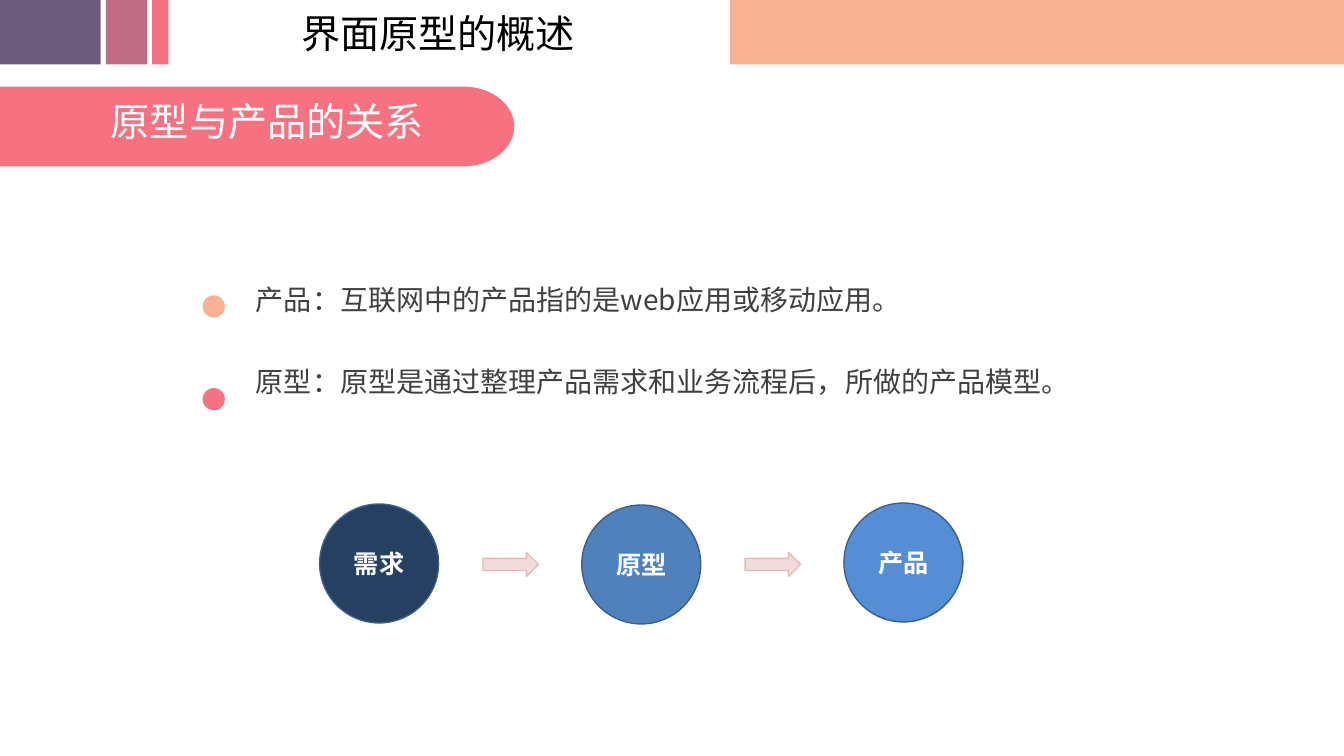
from dataclasses import dataclass
from math import cos, pi, sin

from lxml.etree import SubElement
from pptx import Presentation
from pptx.dml.color import RGBColor
from pptx.enum.shapes import MSO_SHAPE as Preset
from pptx.enum.text import MSO_ANCHOR as Anchor, MSO_AUTO_SIZE as AutoSize, PP_ALIGN as Align
from pptx.oxml.ns import qn
from pptx.shapes.autoshape import Shape
from pptx.slide import Slide
from pptx.text.text import TextFrame
from pptx.util import Emu, Pt

PX = 9144  # 100 px to the inch
CJK_FONT = "Noto Sans CJK SC"

PEACH = RGBColor(0xF8, 0xB1, 0x93)
PURPLE = RGBColor(0x6C, 0x5B, 0x7B)
MAUVE = RGBColor(0xC0, 0x6C, 0x84)
CORAL = RGBColor(0xF6, 0x72, 0x80)
NAVY = RGBColor(0x25, 0x40, 0x61)
STEEL = RGBColor(0x4F, 0x81, 0xBD)
SKY = RGBColor(0x55, 0x8E, 0xD5)
CIRCLE_EDGE = RGBColor(0x3A, 0x5F, 0x8C)
ARROW_FILL = RGBColor(0xF2, 0xDC, 0xDB)
ARROW_EDGE = RGBColor(0xE6, 0xB9, 0xB8)
BLACK = RGBColor(0, 0, 0)
WHITE = RGBColor(0xFF, 0xFF, 0xFF)
DARK_GREY = RGBColor(0x40, 0x40, 0x40)


@dataclass(frozen=True)
class Box:
    left: int
    top: int
    width: int
    height: int

    def emu(self) -> tuple[Emu, ...]:
        return tuple(Emu(side * PX) for side in (self.left, self.top, self.width, self.height))


@dataclass(frozen=True)
class Figure:
    preset: Preset
    box: Box
    fill: RGBColor
    edge: RGBColor | None = None
    label: str = ""


@dataclass(frozen=True)
class TextStyle:
    size: int
    color: RGBColor
    align: Align = Align.LEFT
    font: str = CJK_FONT
    bold: bool = False
    line_spacing: float = 1.0
    gap: int = 0


TITLE_STYLE = TextStyle(28, BLACK, Align.CENTER)
BANNER_STYLE = TextStyle(28, WHITE)
BODY_STYLE = TextStyle(20, DARK_GREY, line_spacing=0.9, gap=37)
STEP_STYLE = TextStyle(18, WHITE, Align.CENTER, "Calibri", True)

HEADER_BARS = [
    Figure(Preset.RECTANGLE, Box(left, 0, width, 64), color)
    for left, width, color in (
        (724, 609, PEACH), (0, 100, PURPLE), (105, 41, MAUVE), (151, 16, CORAL))
]
BULLETS = [
    Figure(Preset.OVAL, Box(201, top, 22, 22), color)
    for top, color in ((293, PEACH), (385, CORAL))
]
STEP_PITCH = 260
STEPS = [
    Figure(Preset.OVAL, Box(317 + i * STEP_PITCH, top, 118, 118), color, CIRCLE_EDGE, label)
    for i, (top, color, label) in enumerate(
        ((500, NAVY, "需求"), (501, STEEL, "原型"), (499, SKY, "产品")))
]
ARROWS = [
    Figure(Preset.RIGHT_ARROW, Box(479 + i * STEP_PITCH, 548, 55, 24), ARROW_FILL, ARROW_EDGE)
    for i in range(len(STEPS) - 1)
]
DEFINITIONS = [
    "产品：互联网中的产品指的是web应用或移动应用。",
    "原型：原型是通过整理产品需求和业务流程后，所做的产品模型。",
]


def write(frame: TextFrame, lines: list[str], style: TextStyle) -> None:
    for i, line in enumerate(lines):
        paragraph = frame.paragraphs[0] if i == 0 else frame.add_paragraph()
        layout = {"alignment": style.align, "line_spacing": style.line_spacing,
                  "space_before": Pt(style.gap if i else 0)}
        for name, value in layout.items():
            setattr(paragraph, name, value)
        run = paragraph.add_run()
        run.text = line
        look = {"size": Pt(style.size), "bold": style.bold, "name": style.font}
        for name, value in look.items():
            setattr(run.font, name, value)
        run.font.color.rgb = style.color
        SubElement(run._r.get_or_add_rPr(), qn("a:ea"), typeface=CJK_FONT)


def fill_text_area(area: Shape, box: Box, lines: list[str], style: TextStyle) -> None:
    """Place a title or text box and write its lines from the top edge."""
    for name, value in zip(("left", "top", "width", "height"), box.emu()):
        setattr(area, name, value)
    settings = {"word_wrap": True, "auto_size": AutoSize.NONE,
                "vertical_anchor": Anchor.TOP, "margin_top": 0}
    for name, value in settings.items():
        setattr(area.text_frame, name, value)
    write(area.text_frame, lines, style)


def paint(shape: Shape, fill: RGBColor, edge: RGBColor | None) -> None:
    shape.shadow.inherit = False
    shape.fill.solid()
    shape.fill.fore_color.rgb = fill
    if edge is None:
        shape.line.fill.background()
    else:
        shape.line.color.rgb = edge
        shape.line.width = Pt(1)


def draw_figure(slide: Slide, figure: Figure) -> None:
    shape = slide.shapes.add_shape(figure.preset, *figure.box.emu())
    paint(shape, figure.fill, figure.edge)
    if figure.label:
        shape.text_frame.vertical_anchor = Anchor.MIDDLE
        write(shape.text_frame, [figure.label], STEP_STYLE)


def draw_banner(slide: Slide, box: Box, cap: int) -> None:
    """Draw a bar whose right end is a half ellipse, cap px wide."""
    left, top, width, height = box.emu()
    center_x, radius_x = left + width - cap * PX, cap * PX
    center_y, radius_y = top + height / 2, height / 2
    segments = 48
    angles = [pi * i / segments - pi / 2 for i in range(segments + 1)]
    curve = [(center_x + radius_x * cos(a), center_y + radius_y * sin(a)) for a in angles]
    builder = slide.shapes.build_freeform(left, top)
    builder.add_line_segments([*curve, (left, top + height)], close=True)
    paint(builder.convert_to_shape(), CORAL, None)


def main() -> None:
    deck = Presentation()
    deck.slide_width, deck.slide_height = Emu(1333 * PX), Emu(750 * PX)
    slide = deck.slides.add_slide(deck.slide_layouts[5])

    for bar in HEADER_BARS:
        draw_figure(slide, bar)
    fill_text_area(slide.shapes.title, Box(244, 9, 381, 104), ["界面原型的概述"], TITLE_STYLE)

    draw_banner(slide, Box(0, 86, 510, 79), cap=50)
    for box, lines, style in (
        (Box(100, 97, 335, 104), ["原型与产品的关系"], BANNER_STYLE),
        (Box(244, 284, 909, 157), DEFINITIONS, BODY_STYLE),
    ):
        fill_text_area(slide.shapes.add_textbox(*box.emu()), box, lines, style)

    for figure in BULLETS + STEPS + ARROWS:
        draw_figure(slide, figure)
    deck.save("out.pptx")


if __name__ == "__main__":
    main()
